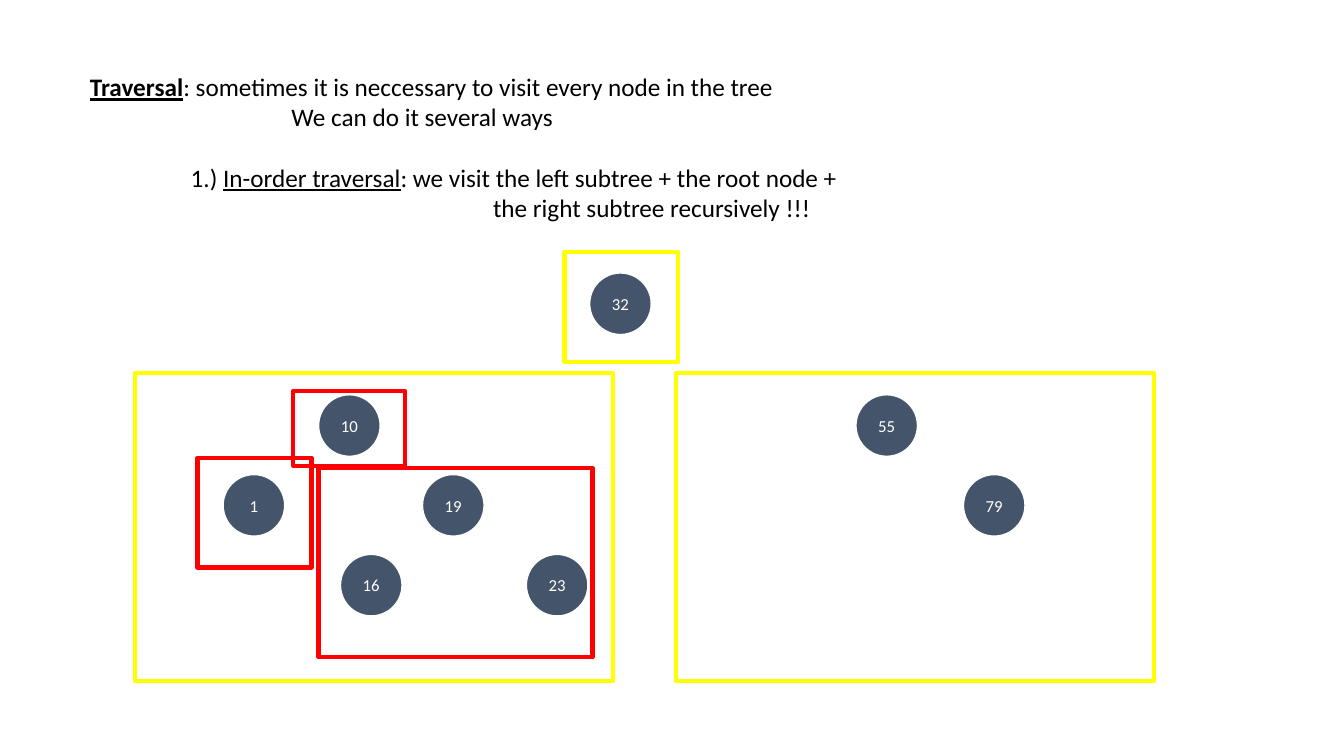
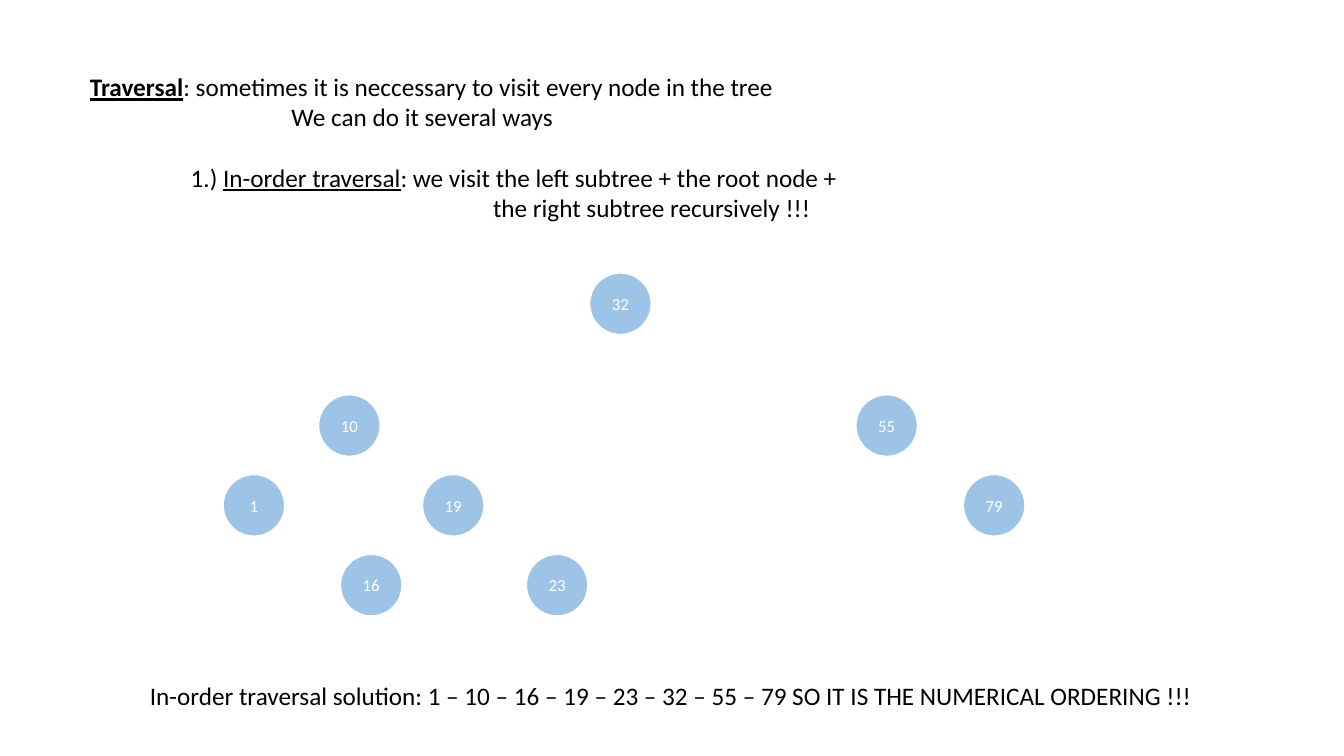
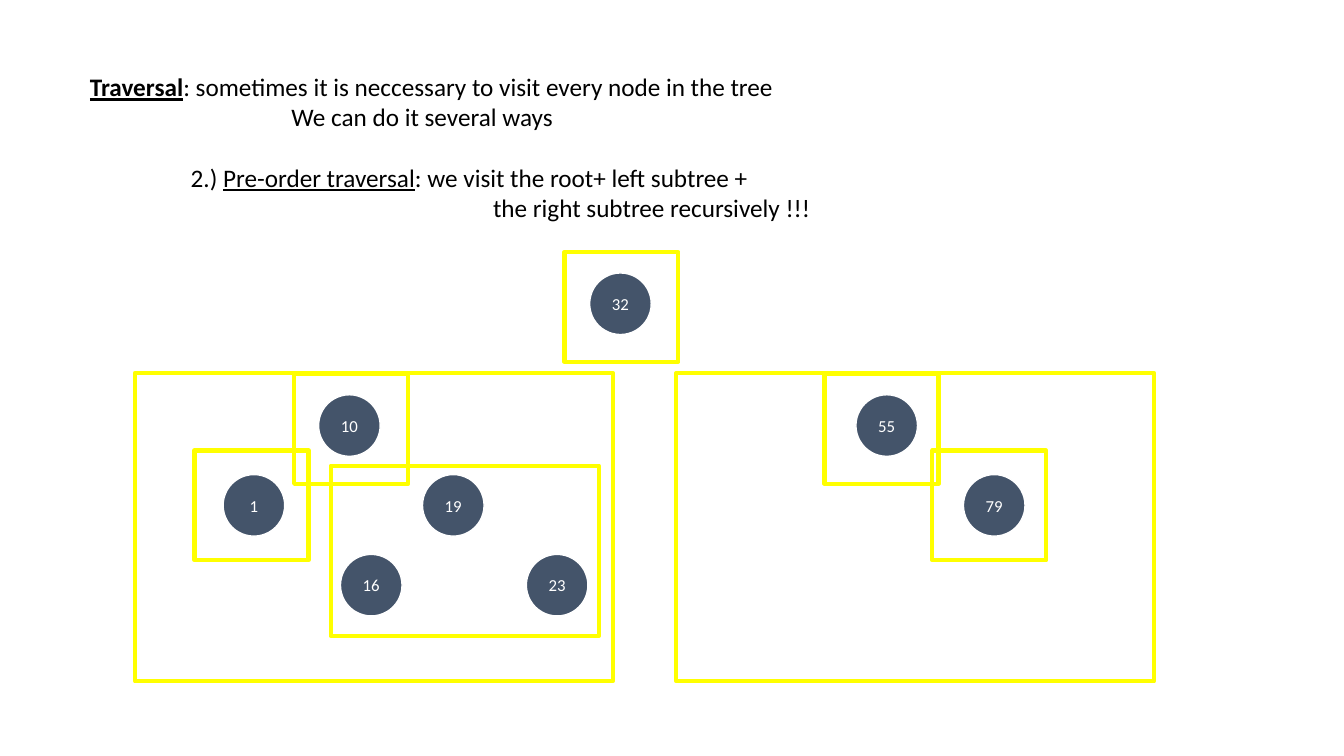
from lxml.etree import SubElement
from pptx import Presentation
from pptx.dml.color import RGBColor
from pptx.enum.shapes import MSO_CONNECTOR, MSO_SHAPE
from pptx.enum.text import MSO_ANCHOR, MSO_AUTO_SIZE, PP_ALIGN
from pptx.oxml.ns import qn
from pptx.util import Pt

# Colours and font
BLACK = RGBColor(0x00, 0x00, 0x00)
WHITE = RGBColor(0xFF, 0xFF, 0xFF)
SLATE = RGBColor(0x44, 0x54, 0x6A)
PALE_BLUE = RGBColor(0x9D, 0xC3, 0xE6)
YELLOW = RGBColor(0xFF, 0xFF, 0x00)
RED = RGBColor(0xFF, 0x00, 0x00)
FONT = "Calibri"

# Tree layout in points: left and level of each node, then parent, child, side
DIAMETER = 44
LEVEL_TOPS = [195, 282, 339, 396]
NODES = {
    "32": (421.2, 0),
    "55": (611.4, 1),
    "10": (227.6, 1),
    "19": (301.8, 2),
    "1": (159.4, 2),
    "16": (243.2, 3),
    "79": (688.2, 2),
    "23": (376, 3),
}
EDGES = [
    ("32", "55", 1), ("32", "10", -1), ("10", "19", 1), ("10", "1", -1),
    ("19", "16", -1), ("55", "79", 1), ("19", "23", 1),
]

# Frames: left, top, width, height, colour
ROOT = (403.2, 180, 81.4, 78.5, YELLOW)
LEFT_SUBTREE = (96.5, 266.4, 341.3, 220.3, YELLOW)
RIGHT_SUBTREE = (483.1, 266.4, 341.3, 220.3, YELLOW)
IN_ORDER_FRAMES = [
    LEFT_SUBTREE, RIGHT_SUBTREE, ROOT,
    (141.1, 326.9, 81.4, 78.5, RED),
    (209.5, 279.4, 79.9, 53.3, RED),
    (227.5, 334.1, 195.8, 135.4, RED),
]
PRE_ORDER_FRAMES = [
    LEFT_SUBTREE, ROOT,
    (210.2, 267.1, 81.4, 78.5, YELLOW),
    (139, 321.8, 81.4, 78.5, YELLOW),
    (236.2, 332.6, 191.5, 121.7, YELLOW),
    RIGHT_SUBTREE,
    (589, 267.1, 81.4, 78.5, YELLOW),
    (666, 321.8, 81.4, 78.5, YELLOW),
]

# Slides: number, traversal, explanation, node colour, frames, solution
IN_ORDER = ("1.) ", "In-order traversal", ": we visit the left subtree + the root node +")
PRE_ORDER = ("2.) ", "Pre-order traversal", ": we visit the root+ left subtree +")
SOLUTION = ("In-order traversal solution: 1 – 10 – 16 – 19 – 23 – 32 – 55 – 79 "
            "SO IT IS THE NUMERICAL ORDERING !!!")
PAGES = [
    (*IN_ORDER, SLATE, IN_ORDER_FRAMES, None),
    (*IN_ORDER, PALE_BLUE, [], SOLUTION),
    (*PRE_ORDER, SLATE, PRE_ORDER_FRAMES, None),
]


def add_span(para, text, size=18, color=BLACK, bold=False, underline=False):
    span = para.add_run()
    span.text = text
    span.font.name = FONT
    span.font.size = Pt(size)
    span.font.color.rgb = color
    span.font.bold = bold
    span.font.underline = underline


deck = Presentation()
deck.slide_width, deck.slide_height = Pt(960), Pt(540)

for number, traversal, explanation, node_color, frames, solution in PAGES:
    page = deck.slides.add_slide(deck.slide_layouts[5])

    # Heading: each line is an indent, the space above it and its spans
    title = page.shapes.title
    title.left, title.top, title.width, title.height = Pt(57), Pt(47.5), Pt(632), Pt(138)
    heading = title.text_frame
    heading.word_wrap = True
    heading.auto_size = MSO_AUTO_SIZE.NONE
    heading.vertical_anchor = MSO_ANCHOR.TOP
    lines = [
        (0, 0, [("Traversal", {"bold": True, "underline": True}),
                (": sometimes it is neccessary to visit every node in the tree", {})]),
        (144, 0, [("We can do it several ways", {})]),
        (72, 21.6, [(number, {}), (traversal, {"underline": True}), (explanation, {})]),
        (288, 0, [("the right subtree recursively !!!", {})]),
    ]
    for index, (indent, space, spans) in enumerate(lines):
        para = heading.add_paragraph() if index else heading.paragraphs[0]
        para.alignment = PP_ALIGN.LEFT
        para.space_before = Pt(space)
        para._p.get_or_add_pPr().set("marL", str(Pt(indent)))
        for text, style in spans:
            add_span(para, text, **style)

    # Nodes
    circles = {}
    for label, (left, level) in NODES.items():
        circle = page.shapes.add_shape(
            MSO_SHAPE.OVAL, Pt(left), Pt(LEVEL_TOPS[level]), Pt(DIAMETER), Pt(DIAMETER))
        circle.shadow.inherit = False
        circle.fill.solid()
        circle.fill.fore_color.rgb = node_color
        circle.line.color.rgb = WHITE
        circle.line.width = Pt(1)
        circle.text_frame.vertical_anchor = MSO_ANCHOR.MIDDLE
        para = circle.text_frame.paragraphs[0]
        para.alignment = PP_ALIGN.CENTER
        add_span(para, label, size=12, color=WHITE)
        circles[label] = circle

    # Edges run from the parent's lower left or right to the child's top
    radius = DIAMETER / 2
    diagonal = radius * 0.71
    for parent, child, side in EDGES:
        left, level = NODES[parent]
        start_x = Pt(left + radius + side * diagonal)
        start_y = Pt(LEVEL_TOPS[level] + radius + diagonal)
        edge = page.shapes.add_connector(
            MSO_CONNECTOR.STRAIGHT, start_x, start_y, start_x, start_y)
        edge.end_connect(circles[child], 0)
        edge.line.color.rgb = WHITE
        edge.line.width = Pt(0.5)
        SubElement(edge._element.spPr, qn("a:effectLst"))

    # Frames around the subtrees
    for left, top, width, height, color in frames:
        frame = page.shapes.add_shape(
            MSO_SHAPE.RECTANGLE, Pt(left), Pt(top), Pt(width), Pt(height))
        frame.shadow.inherit = False
        frame.fill.background()
        frame.line.color.rgb = color
        frame.line.width = Pt(3)

    # Solution
    if solution:
        box = page.shapes.add_textbox(Pt(100), Pt(482.4), Pt(820), Pt(29))
        box.text_frame.word_wrap = True
        add_span(box.text_frame.paragraphs[0], solution)

deck.save("out.pptx")
